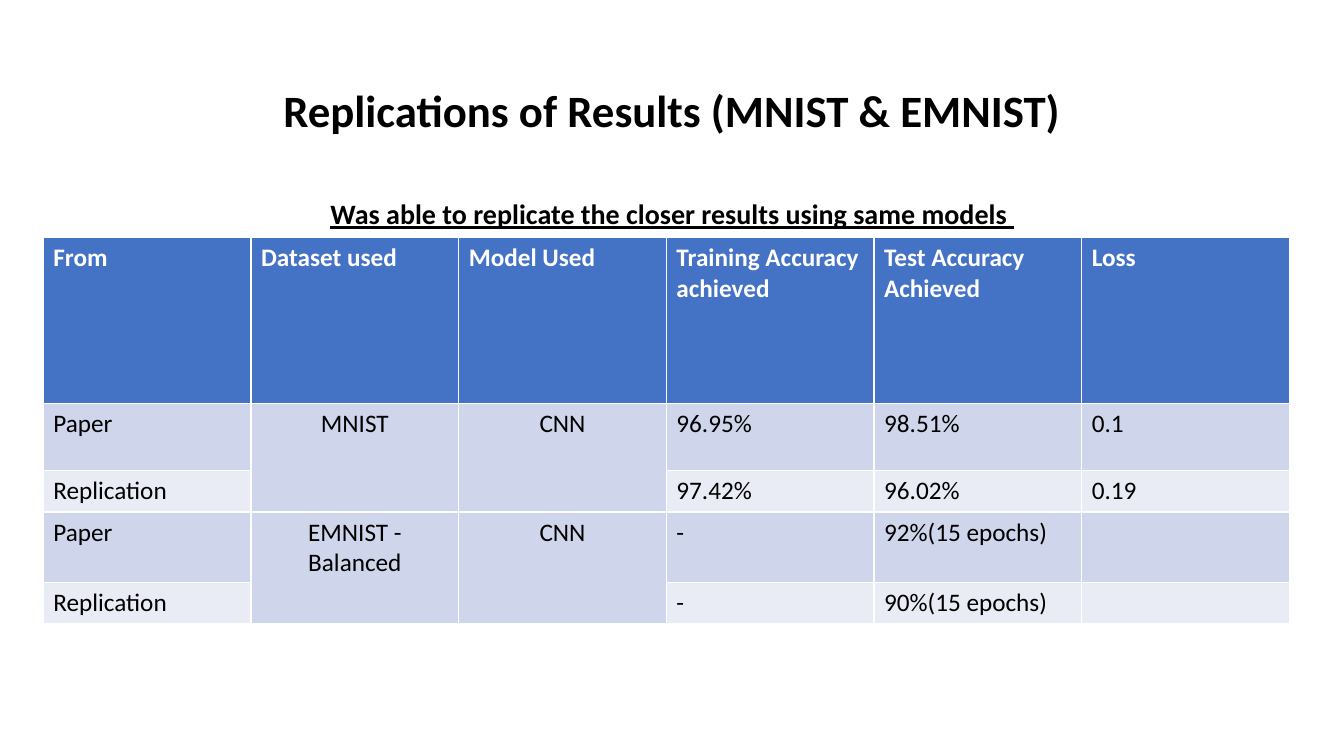
import pptx
import pptx.util
import pptx.dml.color
import pptx.enum.text

Inches, Pt = pptx.util.Inches, pptx.util.Pt
RGBColor = pptx.dml.color.RGBColor
PP_ALIGN, MSO_ANCHOR = pptx.enum.text.PP_ALIGN, pptx.enum.text.MSO_ANCHOR

BLACK = RGBColor(0x00, 0x00, 0x00)
WHITE = RGBColor(0xFF, 0xFF, 0xFF)
HEADER = RGBColor(0x44, 0x72, 0xC4)
BAND_DARK = RGBColor(0xCF, 0xD5, 0xEA)
BAND_LIGHT = RGBColor(0xE9, 0xEB, 0xF5)

ROWS = [
    ["From", "Dataset used", "Model Used", "Training Accuracy achieved",
     "Test Accuracy Achieved", "Loss"],
    ["Paper", "MNIST", "CNN", "96.95%", "98.51%", "0.1"],
    ["Replication", "", "", "97.42%", "96.02%", "0.19"],
    ["Paper", "EMNIST - Balanced", "CNN", "-", "92%(15 epochs)", ""],
    ["Replication", "", "", "-", "90%(15 epochs)", ""],
]
ROW_HEIGHTS = [1.64, 0.67, 0.41, 0.7, 0.41]
COL_WIDTH = 2.06
MERGED_COLS = (1, 2)


def style(p, size, color, bold):
    p.font.name = "Calibri"
    p.font.size = Pt(size)
    p.font.color.rgb = color
    p.font.bold = bold


prs = pptx.Presentation()
prs.slide_width, prs.slide_height = Inches(13.33), Inches(7.5)
s = prs.slides.add_slide(prs.slide_layouts[5])
margin = Inches(0.92)
content_width = prs.slide_width - 2 * margin

# Title
title = s.shapes.title
title.left, title.top = margin, Inches(0.4)
title.width, title.height = content_width, Inches(1.45)
tf = title.text_frame
tf.text = "Replications of Results (MNIST & EMNIST)"
tf.vertical_anchor = MSO_ANCHOR.MIDDLE
p = tf.paragraphs[0]
p.alignment = PP_ALIGN.CENTER
p.line_spacing = 0.9
style(p, 32, BLACK, True)

# Statement above the table
sp = s.shapes.add_textbox(margin, Inches(1.9), content_width, Inches(0.42))
tf = sp.text_frame
tf.word_wrap = True
p = tf.paragraphs[0]
p.text = "Was able to replicate the closer results using same models "
p.alignment = PP_ALIGN.CENTER
style(p, 20, BLACK, True)
p.font.underline = True

# Results table
cols = len(ROWS[0])
table = s.shapes.add_table(len(ROWS), cols, Inches(0.43), Inches(2.36),
                           Inches(COL_WIDTH * cols), Inches(sum(ROW_HEIGHTS))).table
for col in table.columns:
    col.width = Inches(COL_WIDTH)
for r, values in enumerate(ROWS):
    table.rows[r].height = Inches(ROW_HEIGHTS[r])
    is_header = r == 0
    fill = HEADER if is_header else BAND_DARK if r % 2 else BAND_LIGHT
    for c, value in enumerate(values):
        cell = table.cell(r, c)
        cell.fill.solid()
        cell.fill.fore_color.rgb = fill
        p = cell.text_frame.paragraphs[0]
        p.text = value
        style(p, 18, WHITE if is_header else BLACK, is_header)
        if c in MERGED_COLS and not is_header:
            p.alignment = PP_ALIGN.CENTER

# Each dataset and its model span a paper row and a replication row
for r in range(1, len(ROWS), 2):
    for c in MERGED_COLS:
        table.cell(r, c).merge(table.cell(r + 1, c))

prs.save("out.pptx")
